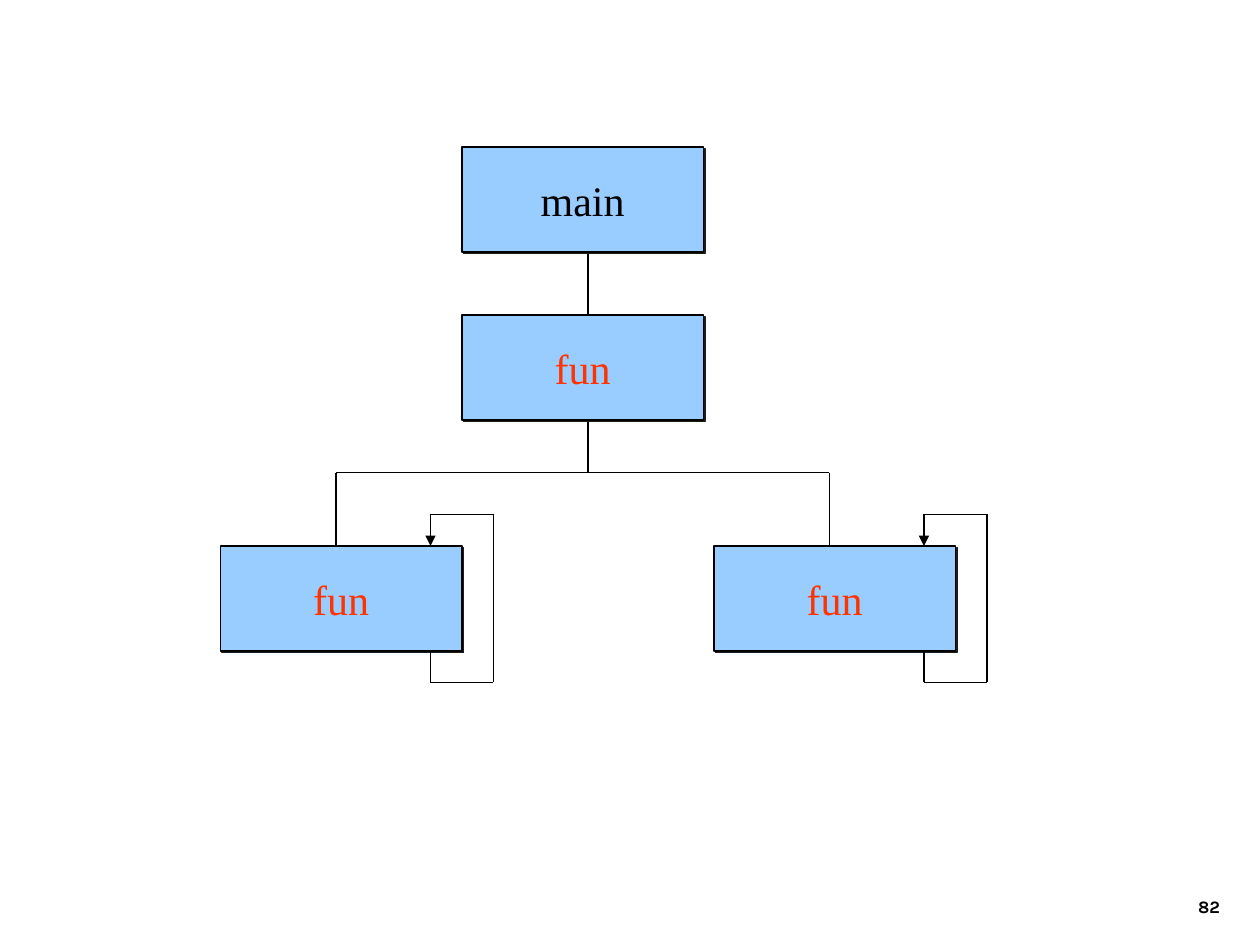
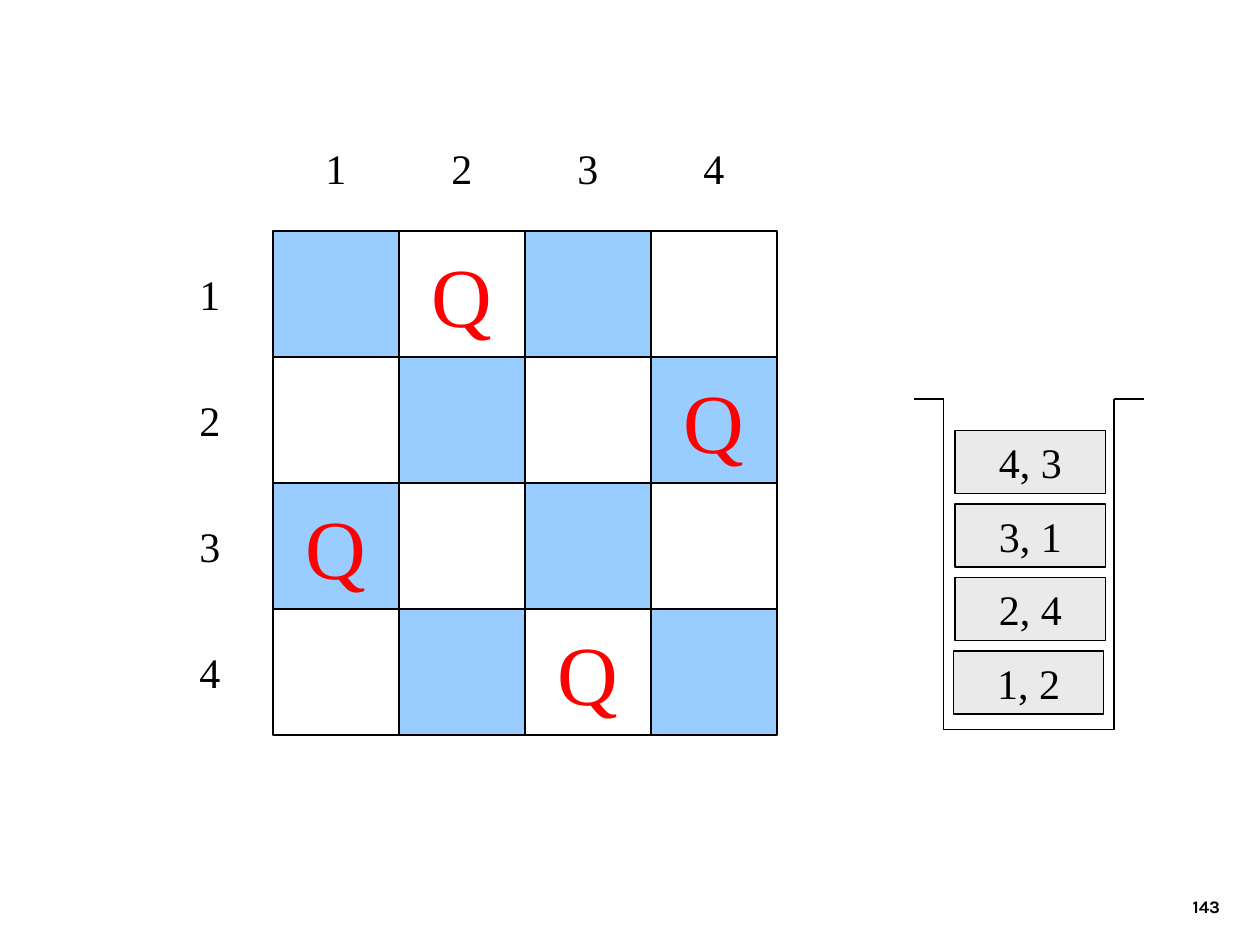
from itertools import pairwise, product

from lxml import etree
from pptx import Presentation
from pptx.dml.color import RGBColor as RGB
from pptx.enum.shapes import MSO_CONNECTOR as CONN, MSO_SHAPE as SHAPE
from pptx.enum.text import MSO_ANCHOR as ANCHOR, PP_ALIGN as ALIGN
from pptx.oxml.ns import qn
from pptx.util import Pt

COLORS = {
    "ink": "000000",
    "blue": "99CCFF",
    "call": "FF3300",
    "queen": "FF0000",
    "entry": "EAEAEA",
    "shadow": "1C1C1C",
}
SERIF = "Times New Roman"
LINE_W = 0.75
BOX_W, BOX_H = 138, 60
CELL = 72
QUEENS = {(1, 2), (2, 4), (3, 1), (4, 3)}


def rgb(name):
    return RGB.from_string(COLORS[name])


def set_text(sp, text, size=24, color="ink", font=SERIF, bold=False,
             align=ALIGN.CENTER, anchor=ANCHOR.MIDDLE, wrap=False):
    tf = sp.text_frame
    tf.text = text
    tf.word_wrap = wrap
    tf.vertical_anchor = anchor
    p = tf.paragraphs[0]
    p.alignment = align
    f = p.runs[0].font
    f.name, f.size, f.bold = font, Pt(size), bold
    f.color.rgb = rgb(color)


def add_label(s, x, y, w, h, text, **style):
    set_text(s.shapes.add_textbox(Pt(x), Pt(y), Pt(w), Pt(h)), text, **style)


def add_box(s, x, y, w, h, fill=None, kind=SHAPE.RECTANGLE):
    sp = s.shapes.add_shape(kind, Pt(x), Pt(y), Pt(w), Pt(h))
    sp.shadow.inherit = False
    if fill:
        sp.fill.solid()
        sp.fill.fore_color.rgb = rgb(fill)
    else:
        sp.fill.background()
    sp.line.color.rgb = rgb("ink")
    sp.line.width = Pt(LINE_W)
    return sp


def add_path(s, *points, arrow=False):
    for (x1, y1), (x2, y2) in pairwise(points):
        c = s.shapes.add_connector(CONN.STRAIGHT, Pt(x1), Pt(y1), Pt(x2), Pt(y2))
        c.line.color.rgb = rgb("ink")
        c.line.width = Pt(LINE_W)
        etree.SubElement(c._element.spPr, qn("a:effectLst"))
    if arrow:
        etree.SubElement(c.line._get_or_add_ln(), qn("a:tailEnd"), type="triangle")


def add_page_number(s, number):
    add_label(s, 554.4, 491.8, 149.8, 36, str(number), size=10, font="Karla",
              bold=True, align=ALIGN.RIGHT, anchor=ANCHOR.BOTTOM, wrap=True)


def add_function(s, x, y, name, color="call"):
    sp = add_box(s, x, y, BOX_W, BOX_H, "blue", SHAPE.FLOWCHART_PROCESS)
    effects = sp._element.spPr.find(qn("a:effectLst"))
    shadow = etree.SubElement(effects, qn("a:outerShdw"), blurRad="0",
                              dist=str(Pt(1.4)), dir="2700000", algn="ctr",
                              rotWithShape="0")
    etree.SubElement(shadow, qn("a:srgbClr"), val=COLORS["shadow"])
    set_text(sp, name, color=color)


def add_recursive_call(s, x, y, bar_y):
    add_function(s, x, y, "fun")
    add_path(s, (x + 66, bar_y), (x + 66, y))
    near, far = x + 120, x + 156
    top, bottom = y - 18, y + BOX_H + 18
    add_path(s, (near, y + BOX_H), (near, bottom), (far, bottom),
             (far, top), (near, top), (near, y), arrow=True)


def add_call_tree(s, x, y):
    root_x, bar_y = x + 138, y + 186
    trunk_x = root_x + 72
    call_xs = (x, x + 282)
    add_path(s, (trunk_x, y + BOX_H), (trunk_x, bar_y))
    add_path(s, *((cx + 66, bar_y) for cx in call_xs))
    add_function(s, root_x, y, "main", "ink")
    add_function(s, root_x, y + 96, "fun")
    for cx in call_xs:
        add_recursive_call(s, cx, y + 228, bar_y)


def add_board(s, x, y, size=4):
    for row, col in product(range(1, size + 1), repeat=2):
        fill = "blue" if (row + col) % 2 == 0 else None
        sp = add_box(s, x + col * CELL, y + row * CELL, CELL, CELL, fill)
        if (row, col) in QUEENS:
            set_text(sp, "Q", size=48, color="queen")
    for i in range(1, size + 1):
        add_label(s, x + i * CELL, y, CELL, CELL, str(i))
        add_label(s, x, y + i * CELL, CELL, CELL, str(i))


def add_stack(s, x, y):
    left, right, bottom = x + 17.3, x + 114.5, y + 189
    add_path(s, (x, y), (left, y), (left, bottom),
             (right, bottom), (right, y), (x + 131.8, y))
    for i, (row, col) in enumerate(sorted(QUEENS)):
        entry_x = x + (23.8 if i else 22.8)
        sp = add_box(s, entry_x, y + 144 - i * 42, 86, 36, "entry")
        set_text(sp, f"{row}, {col}", anchor=ANCHOR.TOP, wrap=True)


def add_slide(prs, number):
    s = prs.slides.add_slide(prs.slide_layouts[6])
    add_page_number(s, number)
    return s


def main():
    prs = Presentation()
    prs.slide_width, prs.slide_height = Pt(720), Pt(540)
    add_call_tree(add_slide(prs, 82), 126, 84)
    s = add_slide(prs, 143)
    add_board(s, 84, 60)
    add_stack(s, 522, 228)
    prs.save("out.pptx")


if __name__ == "__main__":
    main()
